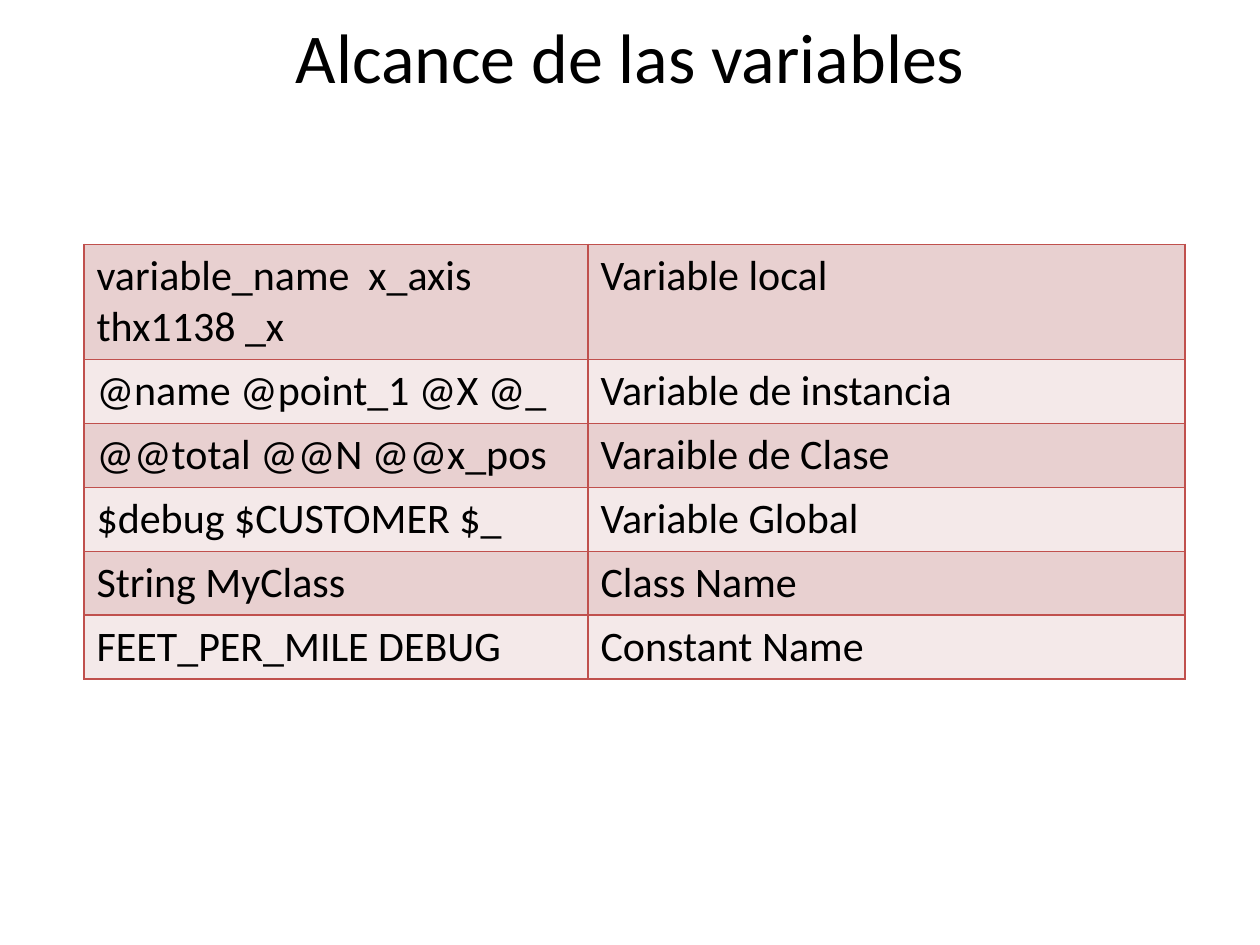
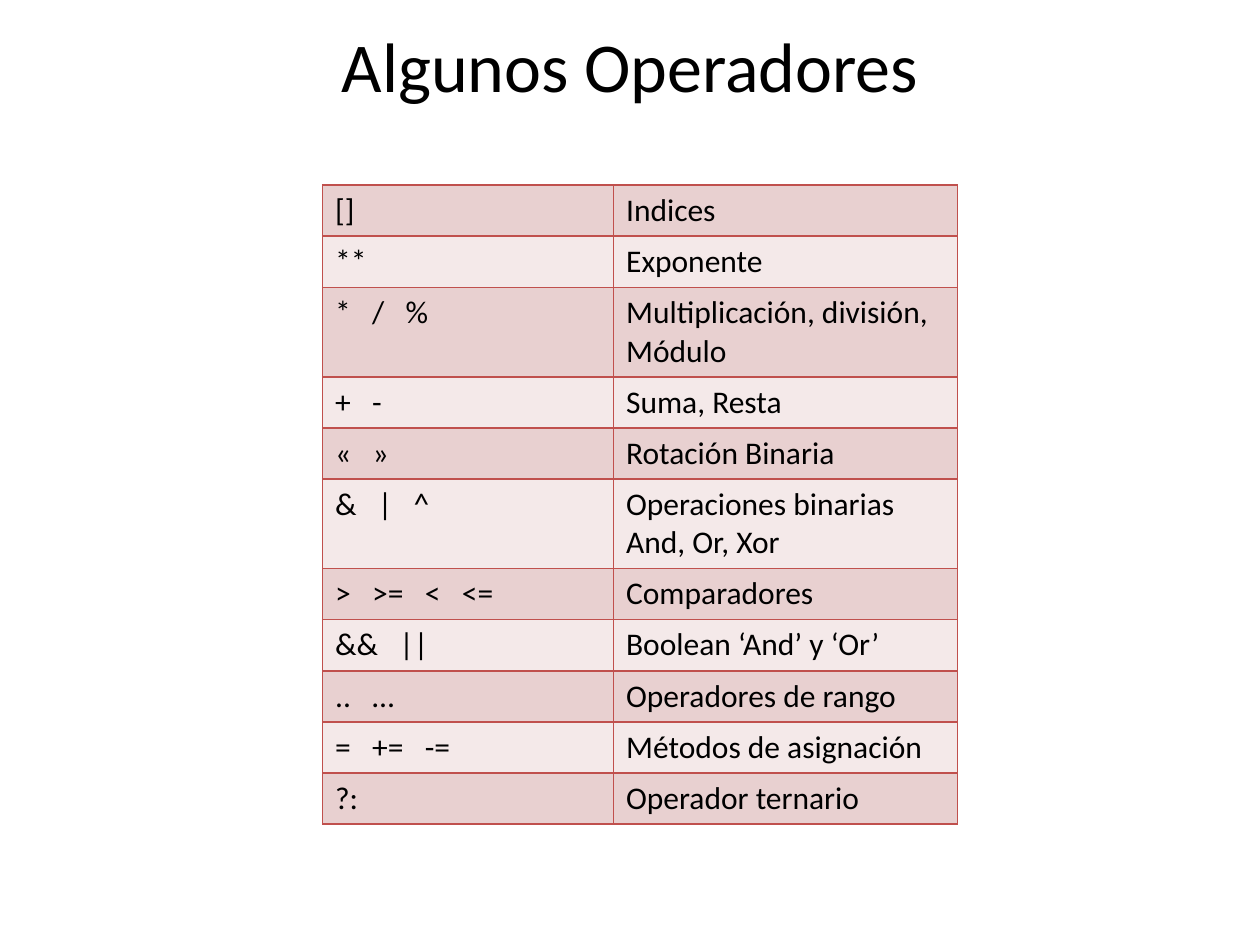
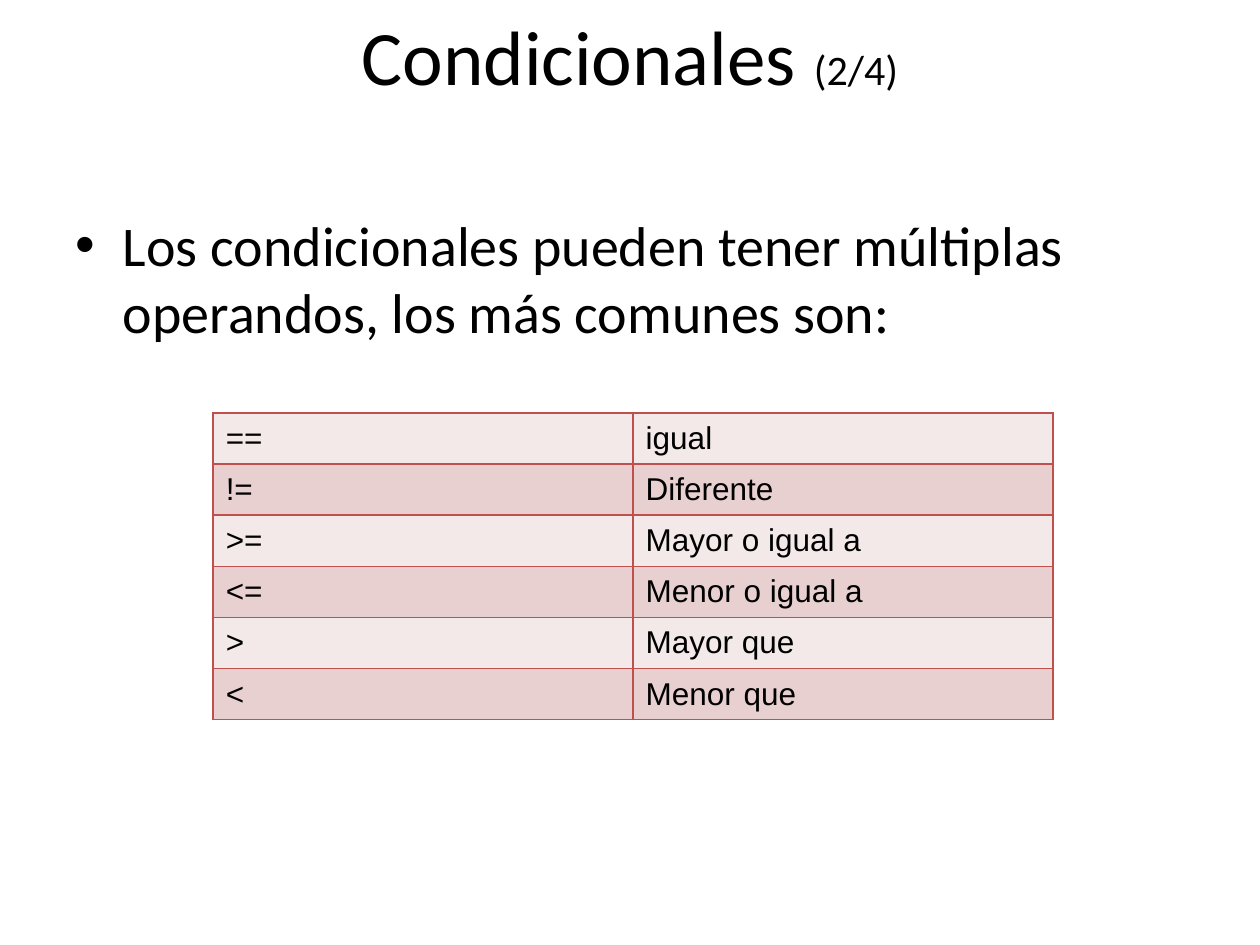
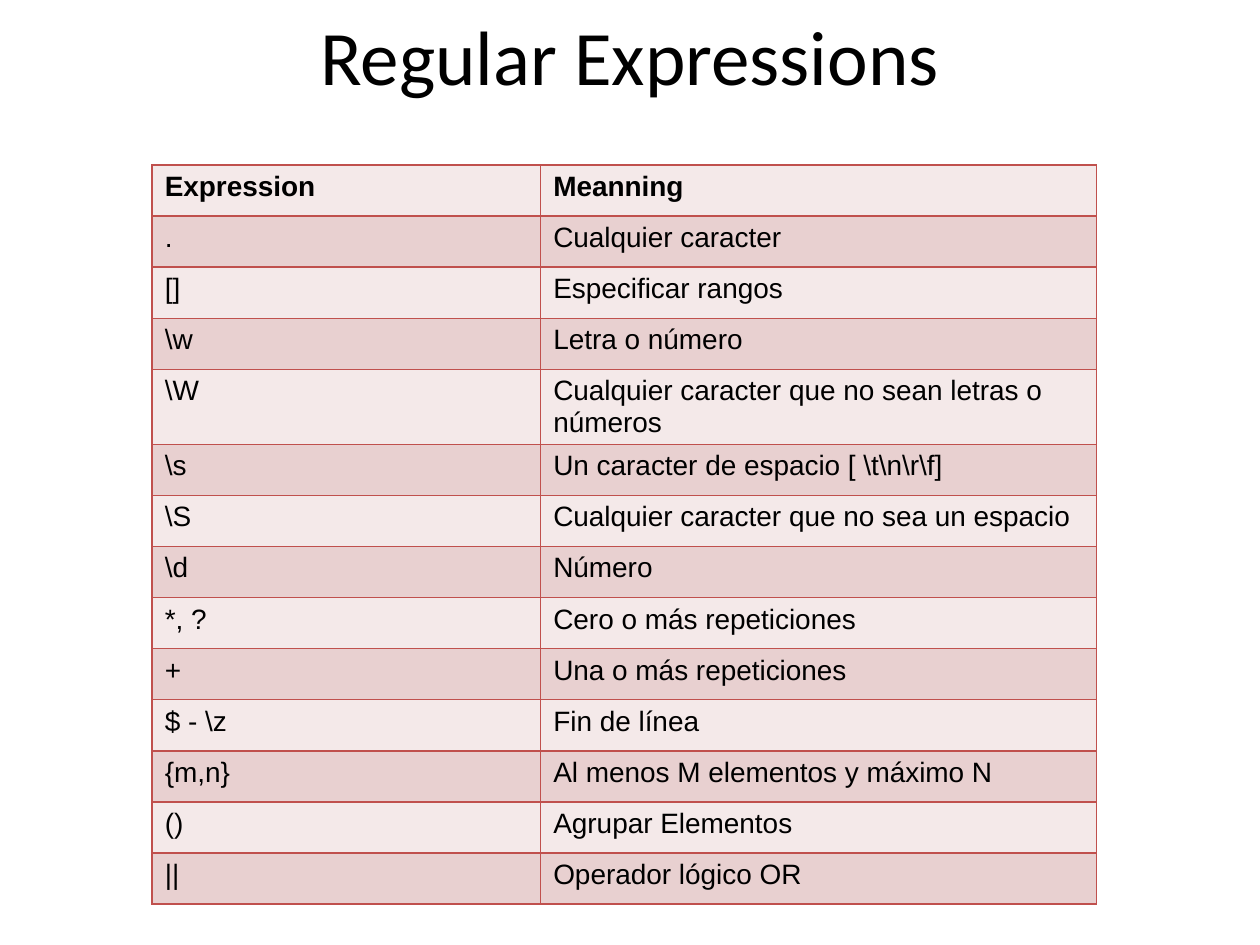
from lxml.etree import SubElement
from pptx import Presentation
from pptx.dml.color import RGBColor
from pptx.enum.text import MSO_ANCHOR, PP_ALIGN
from pptx.oxml.ns import qn
from pptx.util import Pt

# Shared style
BLACK = RGBColor(0x00, 0x00, 0x00)
RED = RGBColor(0xC0, 0x50, 0x4D)
DARK_BAND = RGBColor(0xE8, 0xD0, 0xD0)
LIGHT_BAND = RGBColor(0xF4, 0xE9, 0xE9)
DARK_FIRST = (DARK_BAND, LIGHT_BAND)
LIGHT_FIRST = (LIGHT_BAND, DARK_BAND)
TITLE_FONT = "Calibri"
TABLE_FONT = "Arial"
BODY_SIZE = 32
BORDER_WIDTH = 1
ROW_HEIGHT = 29.2
MARGIN, CONTENT_WIDTH = 36, 648
TITLE_TOP, TITLE_HEIGHT = -13.5, 90
BODY_TOP, BODY_HEIGHT = 116.5, 113
CONTENT_LAYOUT, TITLE_ONLY_LAYOUT = 1, 5

# Content: title runs are (text, size); table positions and widths are points
SLIDES = [
    {
        "title": [("Alcance de las variables", 40)],
        "table": {
            "left": 48, "top": 139.7, "columns": (288, 341.3),
            "font": TITLE_FONT, "size": 24, "bands": DARK_FIRST,
            "rows": [
                ("variable_name  x_axis  thx1138 _x", "Variable local"),
                ("@name @point_1 @X @_", "Variable de instancia"),
                ("@@total @@N @@x_pos", "Varaible de Clase"),
                ("$debug $CUSTOMER $_", "Variable Global"),
                ("String MyClass", "Class Name"),
                ("FEET_PER_MILE DEBUG", "Constant Name"),
            ],
        },
    },
    {
        "title": [("Algunos Operadores", 40)],
        "title_top": -8,
        "table": {
            "left": 184.3, "top": 105.8, "columns": (166.3, 196.6),
            "font": TITLE_FONT, "size": 18, "bands": DARK_FIRST,
            "rows": [
                ("[]", "Indices"),
                ("**", "Exponente"),
                ("*   /   %", "Multiplicación, división, Módulo"),
                ("+   -", "Suma, Resta"),
                ("«   »", "Rotación Binaria"),
                ("&   |   ^", "Operaciones binarias And, Or, Xor"),
                (">   >=   <   <=", "Comparadores"),
                ("&&   ||", "Boolean ‘And’ y ‘Or’"),
                ("..   …", "Operadores de rango"),
                ("=   +=   -=", "Métodos de asignación"),
                ("?:", "Operador ternario"),
            ],
        },
    },
    {
        "title": [("Condicionales ", 44), ("(2/4)", 24)],
        "body": "Los condicionales pueden tener múltiplas operandos, "
                "los más comunes son:",
        "table": {
            "left": 121.8, "top": 236, "columns": (240, 240),
            "font": TABLE_FONT, "size": 18, "bands": LIGHT_FIRST,
            "anchor": MSO_ANCHOR.MIDDLE,
            "rows": [
                ("==", "igual"),
                ("!=", "Diferente"),
                (">=", "Mayor o igual a"),
                ("<=", "Menor o igual a"),
                (">", "Mayor que"),
                ("<", "Menor que"),
            ],
        },
    },
    {
        "title": [("Regular Expressions", 44)],
        "table": {
            "left": 87, "top": 94.3, "columns": (222, 317.5),
            "font": TABLE_FONT, "size": 16, "bands": LIGHT_FIRST,
            "header": True,
            "rows": [
                ("Expression", "Meanning"),
                (".", "Cualquier caracter"),
                ("[]", "Especificar rangos"),
                (r"\w", "Letra o número"),
                (r"\W", "Cualquier caracter que no sean letras o números"),
                (r"\s", r"Un caracter de espacio [ \t\n\r\f]"),
                (r"\S", "Cualquier caracter que no sea un espacio"),
                (r"\d", "Número"),
                ("*, ?", "Cero o más repeticiones"),
                ("+", "Una o más repeticiones"),
                (r"$ - \z", "Fin de línea"),
                ("{m,n}", "Al menos M elementos y máximo N"),
                ("()", "Agrupar Elementos"),
                ("||", "Operador lógico OR"),
            ],
        },
    },
]


def place(shape, left, top, width, height):
    shape.left, shape.top = Pt(left), Pt(top)
    shape.width, shape.height = Pt(width), Pt(height)


def format_run(run, font, size, bold=False):
    run.font.name = font
    run.font.size = Pt(size)
    run.font.bold = bold
    run.font.color.rgb = BLACK


def add_title(slide, parts, top):
    title = slide.shapes.title
    place(title, MARGIN, top, CONTENT_WIDTH, TITLE_HEIGHT)
    title.text_frame.vertical_anchor = MSO_ANCHOR.MIDDLE
    paragraph = title.text_frame.paragraphs[0]
    paragraph.alignment = PP_ALIGN.CENTER
    for text, size in parts:
        run = paragraph.add_run()
        run.text = text
        format_run(run, TITLE_FONT, size)


def add_body(slide, text):
    body = slide.placeholders[1]
    place(body, MARGIN, BODY_TOP, CONTENT_WIDTH, BODY_HEIGHT)
    body.text_frame.text = text
    format_run(body.text_frame.paragraphs[0].runs[0], TITLE_FONT, BODY_SIZE)


def add_borders(cell):
    properties = cell._tc.get_or_add_tcPr()
    for side in ("a:lnL", "a:lnR", "a:lnT", "a:lnB"):
        line = SubElement(properties, qn(side), w=str(Pt(BORDER_WIDTH)))
        fill = SubElement(line, qn("a:solidFill"))
        SubElement(fill, qn("a:srgbClr"), val=str(RED))


def add_table(slide, content):
    rows, columns = content["rows"], content["columns"]
    frame = slide.shapes.add_table(
        len(rows), len(columns), Pt(content["left"]), Pt(content["top"]),
        Pt(sum(columns)), Pt(ROW_HEIGHT * len(rows)))
    table = frame.table
    table.first_row = content.get("header", False)
    table.horz_banding = False
    for column, width in zip(table.columns, columns):
        column.width = Pt(width)
    for row_index, texts in enumerate(rows):
        table.rows[row_index].height = Pt(ROW_HEIGHT)
        for column_index, text in enumerate(texts):
            cell = table.cell(row_index, column_index)
            cell.text_frame.text = text
            cell.vertical_anchor = content.get("anchor", MSO_ANCHOR.TOP)
            add_borders(cell)
            cell.fill.solid()
            cell.fill.fore_color.rgb = content["bands"][row_index % 2]
            format_run(cell.text_frame.paragraphs[0].runs[0], content["font"],
                       content["size"], table.first_row and row_index == 0)


def main():
    presentation = Presentation()
    presentation.slide_width, presentation.slide_height = Pt(720), Pt(540)
    for content in SLIDES:
        layout = CONTENT_LAYOUT if "body" in content else TITLE_ONLY_LAYOUT
        slide = presentation.slides.add_slide(
            presentation.slide_layouts[layout])
        add_title(slide, content["title"], content.get("title_top", TITLE_TOP))
        if "body" in content:
            add_body(slide, content["body"])
        add_table(slide, content["table"])
    presentation.save("out.pptx")


if __name__ == "__main__":
    main()
